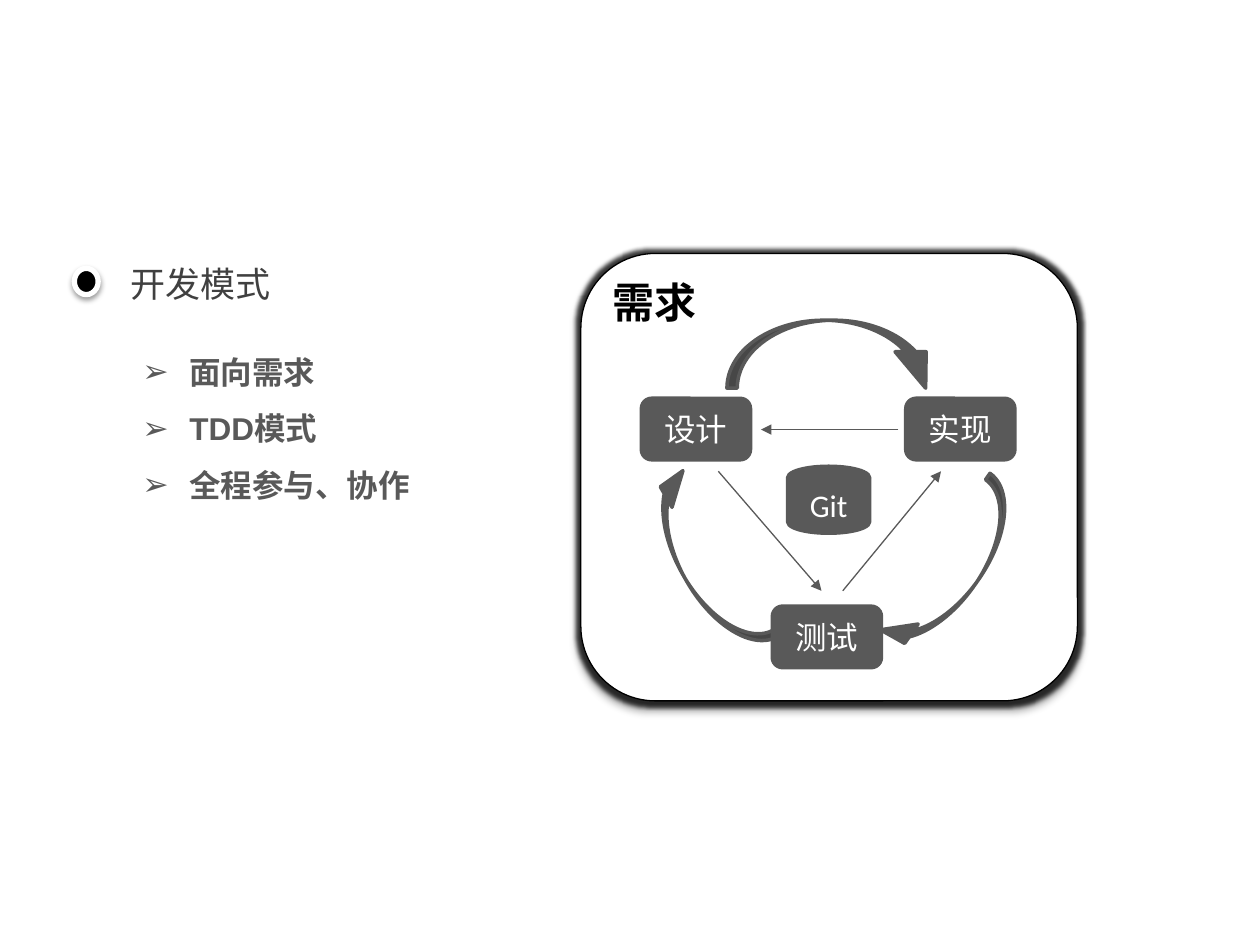
"""Build a slide on the development model: a bullet list beside a design cycle diagram."""
from lxml import etree
from pptx import Presentation
from pptx.dml.color import RGBColor
from pptx.enum.shapes import MSO_CONNECTOR, MSO_SHAPE
from pptx.enum.text import MSO_ANCHOR, MSO_AUTO_SIZE, PP_ALIGN
from pptx.oxml.ns import qn
from pptx.util import Cm, Pt

GREY = RGBColor(0x59, 0x59, 0x59)
DARK = RGBColor(0x40, 0x40, 0x40)
BLACK = RGBColor(0, 0, 0)
WHITE = RGBColor(255, 255, 255)
LEFT, CENTER = PP_ALIGN.LEFT, PP_ALIGN.CENTER
TOP, MIDDLE = MSO_ANCHOR.TOP, MSO_ANCHOR.MIDDLE
BOX, DISK = MSO_SHAPE.FLOWCHART_ALTERNATE_PROCESS, MSO_SHAPE.FLOWCHART_MAGNETIC_DISK
ARROW, PANEL, OVAL = MSO_SHAPE.CURVED_LEFT_ARROW, MSO_SHAPE.ROUNDED_RECTANGLE, MSO_SHAPE.OVAL

TITLE = "开发模式"
POINTS = ["面向需求", "TDD模式", "全程参与、协作"]
PANEL_LABEL = "需求"
NODES = [
    ("设计", BOX, (12.93, 8.03, 2.2, 1.24)),
    ("实现", BOX, (18.26, 8.03, 2.2, 1.24)),
    ("测试", BOX, (15.57, 12.22, 2.2, 1.24)),
    ("Git", DISK, (15.88, 9.4, 1.65, 1.35)),
]
CYCLE = [
    ((18.69, 9.47, 1.04, 4.09), 35),
    ((13.69, 9.27, 1.04, 4.09), 150.3),
    ((16.13, 4.98, 1.37, 4.32), 270),
]
LINKS = [
    (14.48, 9.5, 16.56, 11.91),
    (16.99, 11.91, 18.97, 9.5),
    (18.11, 8.66, 15.34, 8.66),
]
ARROW_ADJUSTMENTS = (0.152, 0.457, 0.536)
HANG = Cm(0.95)


def lengths(values):
    return [Cm(v) for v in values]


def place(sp, at):
    sp.left, sp.top, sp.width, sp.height = lengths(at)


def write(sp, *texts, size=18, font="Calibri", color=WHITE, bold=False, align=CENTER,
          anchor=MIDDLE, insets=None, spacing=1.0, bullet=None):
    tf = sp.text_frame
    tf.word_wrap, tf.auto_size, tf.vertical_anchor = True, MSO_AUTO_SIZE.NONE, anchor
    if insets:
        tf.margin_left, tf.margin_top, tf.margin_right, tf.margin_bottom = lengths(insets)
    for i, text in enumerate(texts):
        p = tf.add_paragraph() if i else tf.paragraphs[0]
        if bullet:
            ppr = p._p.get_or_add_pPr()
            ppr.set("marL", str(HANG))
            ppr.set("indent", str(-HANG))
            etree.SubElement(ppr, qn("a:buFont")).set("typeface", font)
            etree.SubElement(ppr, qn("a:buChar")).set("char", bullet)
        p.alignment, p.line_spacing, p.space_before = align, spacing, Pt(0)
        r = p.add_run()
        r.text = text
        f = r.font
        f.size, f.name, f.bold, f.color.rgb = Pt(size), font, bold, color


def add_shape(s, kind, at, fill=GREY, line=GREY, width=2):
    sp = s.shapes.add_shape(kind, *lengths(at))
    sp.shadow.inherit = False
    sp.fill.solid()
    sp.fill.fore_color.rgb = fill
    sp.line.color.rgb, sp.line.width = line, Pt(width)
    return sp


def add_effect(sp, tag, alpha, **attributes):
    effects = sp._element.spPr.find(qn("a:effectLst"))
    effect = etree.SubElement(effects, qn(tag))
    for name, value in attributes.items():
        effect.set(name, str(value))
    color = etree.SubElement(effect, qn("a:srgbClr"))
    color.set("val", str(BLACK))
    etree.SubElement(color, qn("a:alpha")).set("val", str(alpha * 1000))


def add_shadow(sp, alpha, blur, dist):
    add_effect(sp, "a:outerShdw", alpha, blurRad=Pt(blur), dist=Pt(dist),
               dir=90 * 60000, algn="ctr", rotWithShape=0)


def add_link(s, ends):
    c = s.shapes.add_connector(MSO_CONNECTOR.STRAIGHT, *lengths(ends))
    c.line.color.rgb, c.line.width = GREY, Pt(0.75)
    sppr = c._element.spPr
    etree.SubElement(sppr.find(qn("a:ln")), qn("a:tailEnd")).set("type", "triangle")
    etree.SubElement(sppr, qn("a:effectLst"))


def main():
    prs = Presentation()
    prs.slide_width, prs.slide_height = Cm(25.4), Cm(19.05)
    s = prs.slides.add_slide(prs.slide_layouts[1])

    title, body = s.placeholders
    place(title, (1.98, 5.28, 4.11, 0.86))
    write(title, TITLE, size=20, font="Arial", color=DARK, insets=(0, 0, 0, 0))
    place(body, (2.69, 6.63, 9.8, 3.48))
    write(body, *POINTS, font="Arial", color=GREY, bold=True, align=LEFT, anchor=TOP,
          insets=(0.18, 0.1, 0.18, 0.1), spacing=1.5, bullet="➢")
    marker = add_shape(s, OVAL, (1.5, 5.41, 0.48, 0.53), BLACK, WHITE, 3)
    add_shadow(marker, 38, 3.1, 1.6)

    panel = add_shape(s, PANEL, (11.71, 5.11, 10.01, 9.02), WHITE, BLACK, 0.75)
    add_effect(panel, "a:glow", 75, rad=Pt(5))
    add_shadow(panel, 40, 4, 3)
    label = s.shapes.add_textbox(*lengths((12.09, 5.44, 2.57, 1.32)))
    write(label, PANEL_LABEL, size=24, color=BLACK, bold=True, align=LEFT, anchor=TOP)

    for at, angle in CYCLE:
        arrow = add_shape(s, ARROW, at)
        arrow.rotation = angle
        for i, value in enumerate(ARROW_ADJUSTMENTS):
            arrow.adjustments[i] = value
    for text, kind, at in NODES:
        write(add_shape(s, kind, at), text)
    for ends in LINKS:
        add_link(s, ends)
    prs.save("out.pptx")


if __name__ == "__main__":
    main()
